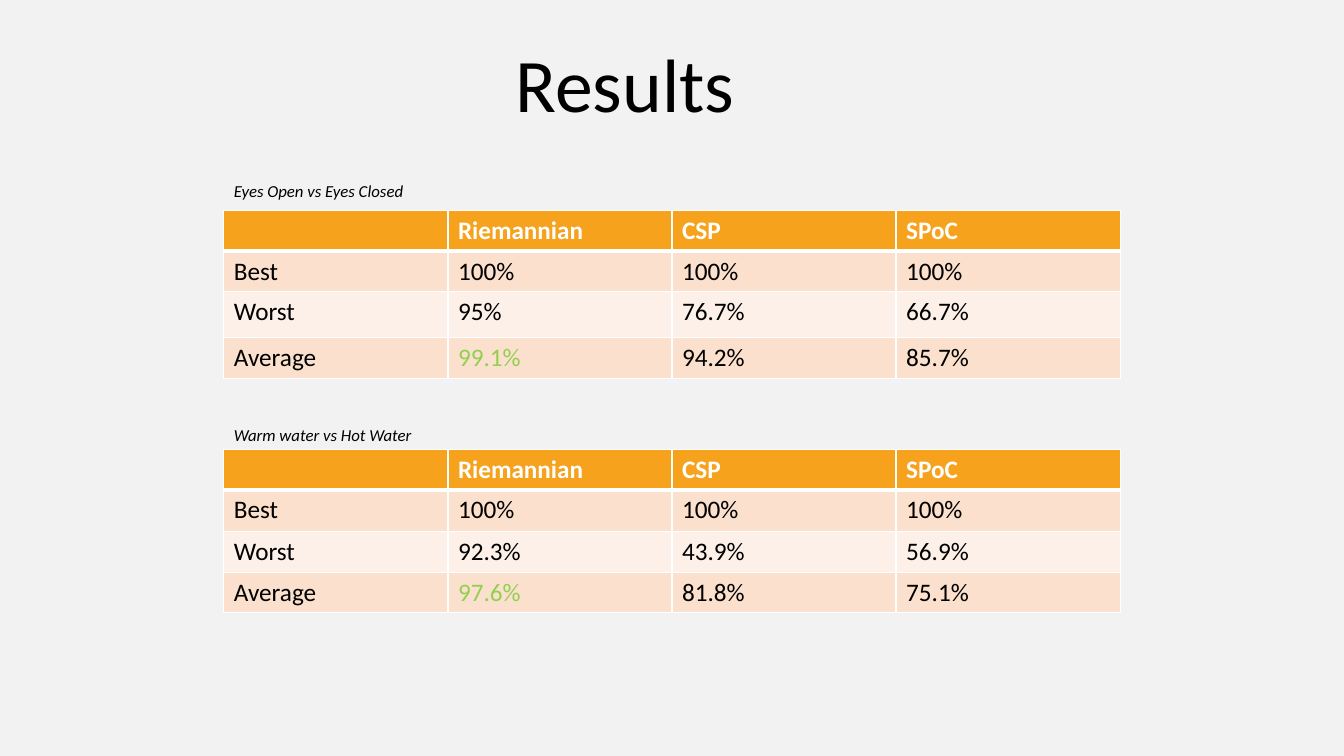
from lxml import etree
from pptx import Presentation
from pptx.dml.color import RGBColor
from pptx.enum import text
from pptx.oxml import ns
from pptx.util import Inches, Pt

TITLE = "Results"
HEADER = ("", "Riemannian", "CSP", "SPoC")
EXPERIMENTS = [
    {
        "caption": "Eyes Open vs Eyes Closed",
        "caption_top": 1.74,
        "table_top": 2.09,
        "row_heights": (0.4, 0.4, 0.46, 0.4),
        "rows": [
            ("Best", "100%", "100%", "100%"),
            ("Worst", "95%", "76.7%", "66.7%"),
            ("Average", "99.1%", "94.2%", "85.7%"),
        ],
    },
    {
        "caption": "Warm water vs Hot Water",
        "caption_top": 4.16,
        "table_top": 4.46,
        "row_heights": (0.4, 0.41, 0.41, 0.4),
        "rows": [
            ("Best", "100%", "100%", "100%"),
            ("Worst", "92.3%", "43.9%", "56.9%"),
            ("Average", "97.6%", "81.8%", "75.1%"),
        ],
    },
]
THEME = {
    "font": "Calibri",
    "background": "F2F2F2",
    "text": "000000",
    "border": "FFFFFF",
    "header": "F6A21D",
    "header_text": "FFFFFF",
    "bands": ("FBE0CD", "FDF0E8"),
    "highlight": "92D050",
    "title_size": 54,
    "table_size": 18,
    "caption_size": 12,
}
HIGHLIGHT_CELL = (3, 1)
LEFT, TABLE_WIDTH, CAPTION_WIDTH, CAPTION_HEIGHT = 2.22, 8.89, 3.65, 0.3


def write(frame, content, size, color=THEME["text"], **formats):
    paragraph = frame.paragraphs[0]
    run = paragraph.add_run()
    run.text = content
    values = {"name": THEME["font"], "size": Pt(size), **formats}
    for name, value in values.items():
        setattr(run.font, name, value)
    run.font.color.rgb = RGBColor.from_string(color)
    return paragraph


def add_borders(cell, row):
    properties = cell._tc.get_or_add_tcPr()
    widths = {"lnL": 1, "lnR": 1, "lnT": 3 if row == 1 else 1, "lnB": 3 if row == 0 else 1}
    for tag, width in widths.items():
        line = etree.SubElement(properties, ns.qn(f"a:{tag}"), w=str(Pt(width)))
        fill = etree.SubElement(line, ns.qn("a:solidFill"))
        etree.SubElement(fill, ns.qn("a:srgbClr"), val=THEME["border"])


def style_cell(cell, content, row, column):
    add_borders(cell, row)
    color = THEME["header"] if row == 0 else THEME["bands"][(row - 1) % 2]
    cell.fill.solid()
    cell.fill.fore_color.rgb = RGBColor.from_string(color)
    if not content:
        return
    text_color = THEME["header_text"] if row == 0 else THEME["text"]
    if (row, column) == HIGHLIGHT_CELL:
        text_color = THEME["highlight"]
    write(cell.text_frame, content, THEME["table_size"], text_color, bold=row == 0)


def add_results(slide, experiment):
    rows = [HEADER, *experiment["rows"]]
    heights = experiment["row_heights"]
    table = slide.shapes.add_table(
        len(rows), len(HEADER), Inches(LEFT), Inches(experiment["table_top"]),
        Inches(TABLE_WIDTH), Inches(sum(heights)),
    ).table
    for table_row, height in zip(table.rows, heights):
        table_row.height = Inches(height)
    for row, values in enumerate(rows):
        for column, content in enumerate(values):
            style_cell(table.cell(row, column), content, row, column)


def add_caption(slide, experiment):
    caption = slide.shapes.add_textbox(
        Inches(LEFT), Inches(experiment["caption_top"]),
        Inches(CAPTION_WIDTH), Inches(CAPTION_HEIGHT),
    )
    caption.text_frame.word_wrap = True
    write(caption.text_frame, experiment["caption"], THEME["caption_size"], italic=True)


def add_title(slide):
    title = slide.shapes.title
    place = {"left": 5, "top": 0.32, "width": 2.4, "height": 1.01}
    for name, value in place.items():
        setattr(title, name, Inches(value))
    frame = title.text_frame
    frame.word_wrap = False
    frame.auto_size = text.MSO_AUTO_SIZE.SHAPE_TO_FIT_TEXT
    frame.vertical_anchor = text.MSO_ANCHOR.TOP
    paragraph = write(frame, TITLE, THEME["title_size"])
    paragraph.alignment = text.PP_ALIGN.CENTER


def main():
    presentation = Presentation()
    presentation.slide_width = Inches(13.33)
    presentation.slide_height = Inches(7.5)
    slide = presentation.slides.add_slide(presentation.slide_layouts[5])
    background = slide.background.fill
    background.solid()
    background.fore_color.rgb = RGBColor.from_string(THEME["background"])
    add_title(slide)
    for experiment in EXPERIMENTS:
        add_results(slide, experiment)
    for experiment in EXPERIMENTS:
        add_caption(slide, experiment)
    presentation.save("out.pptx")


if __name__ == "__main__":
    main()
